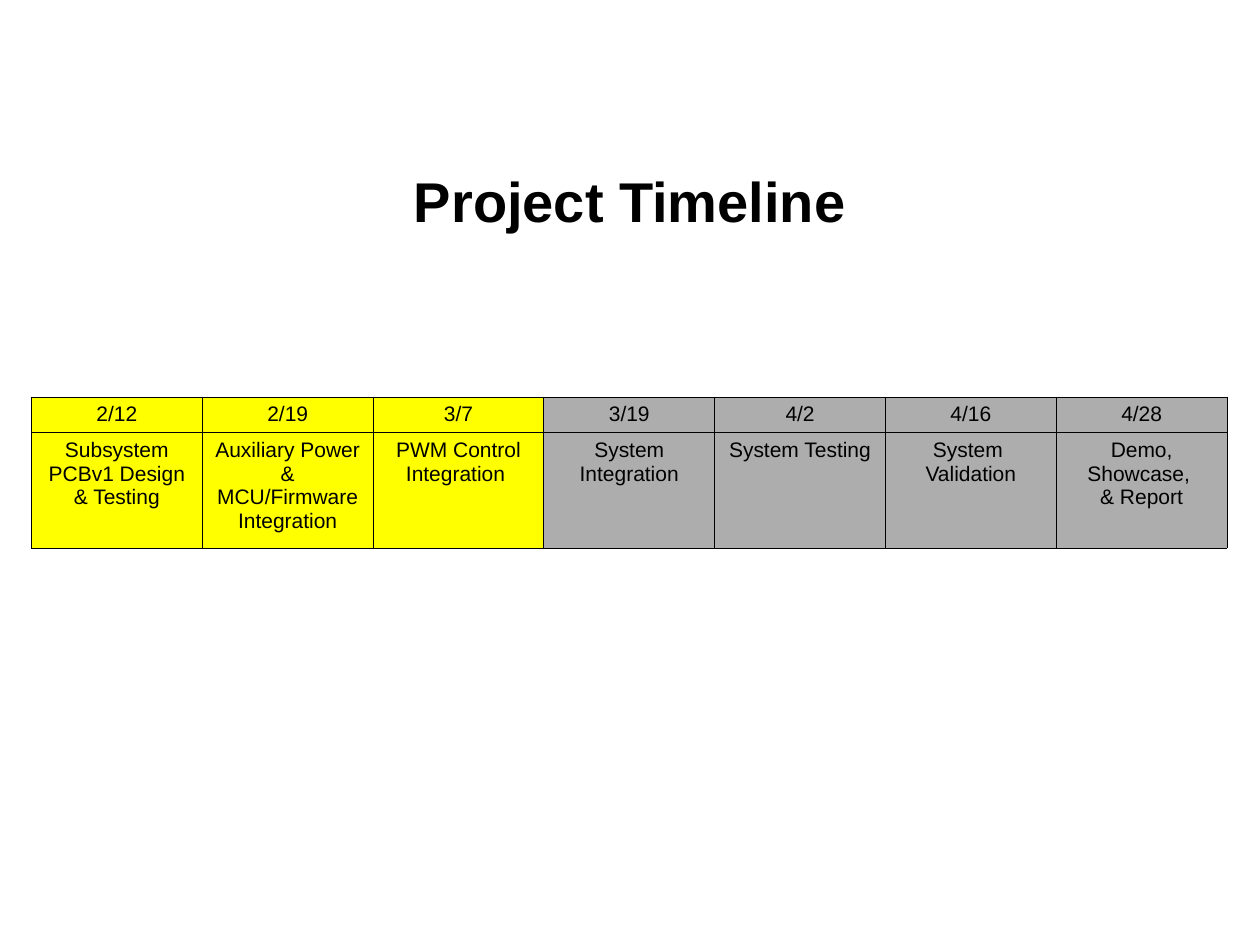
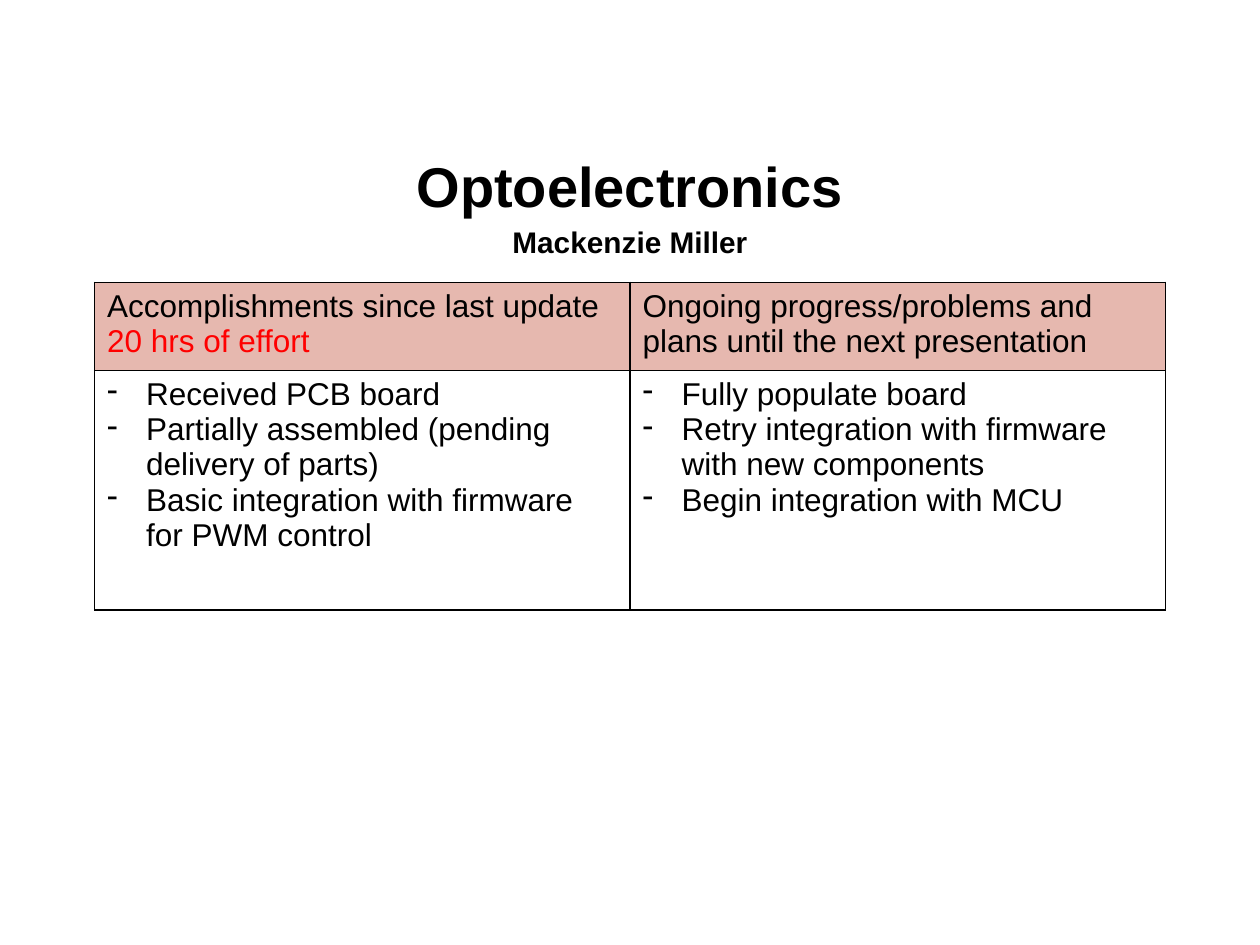
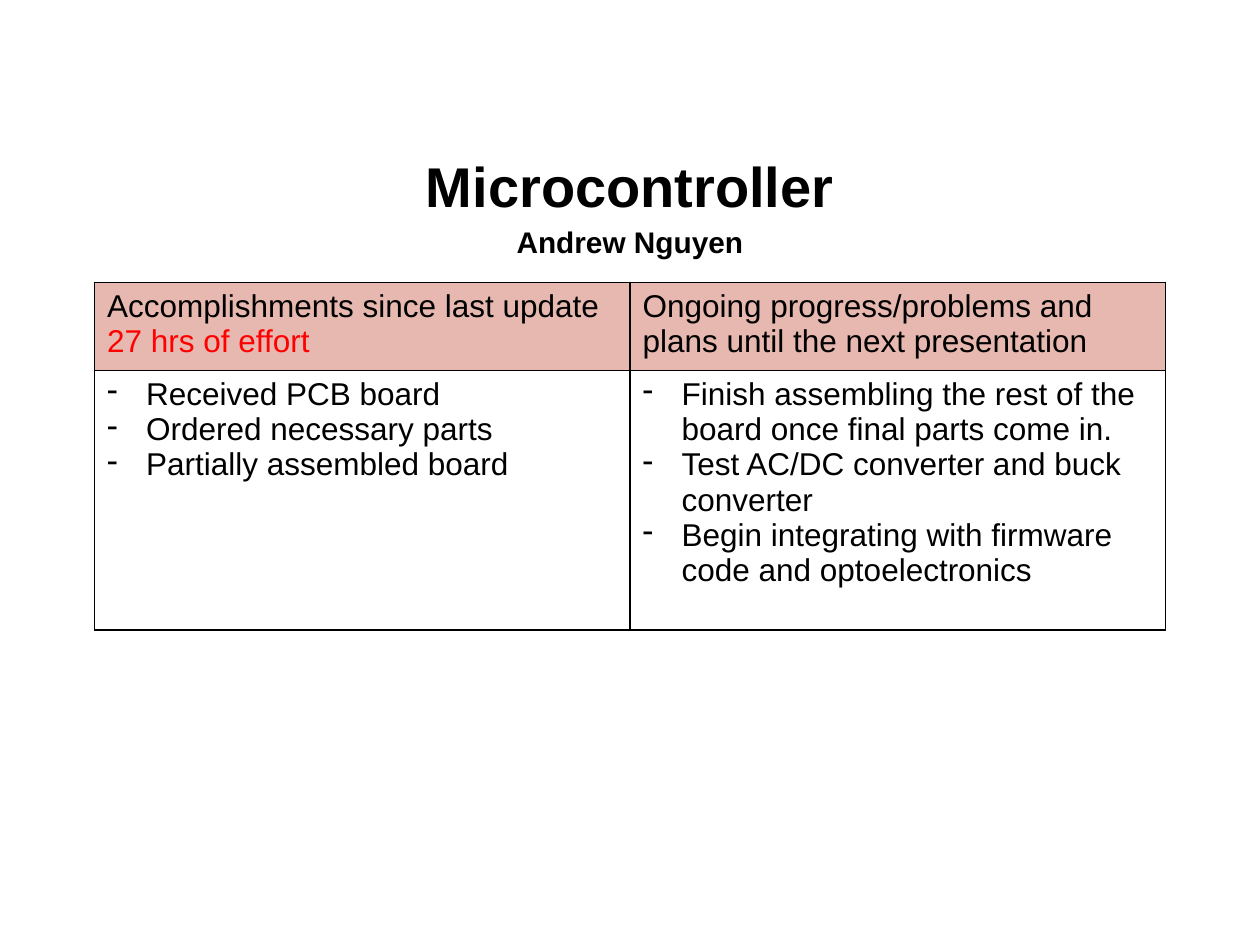
from lxml import etree
from pptx import Presentation
from pptx.dml.color import RGBColor
from pptx.enum.text import MSO_ANCHOR, MSO_AUTO_SIZE, PP_ALIGN
from pptx.oxml.ns import qn
from pptx.util import Inches, Pt

CENTER = PP_ALIGN.CENTER
MIDDLE, BOTTOM = MSO_ANCHOR.MIDDLE, MSO_ANCHOR.BOTTOM
FIXED = MSO_AUTO_SIZE.NONE

FONT = "Arial"
COLORS = {
    "text": "000000",
    "done": "FFFF00",
    "open": "ADADAD",
    "head": "E6B8AF",
    "hours": "FF0000",
}

STEPS = [
    ("2/12", "Subsystem PCBv1 Design & Testing", "done"),
    ("2/19", "Auxiliary Power & MCU/Firmware Integration", "done"),
    ("3/7", "PWM Control Integration ", "done"),
    ("3/19", "System Integration", "open"),
    ("4/2", "System Testing", "open"),
    ("4/16", "System \nValidation", "open"),
    ("4/28", "Demo, Showcase, \n& Report", "open"),
]

REPORTS = [
    {
        "title": "Optoelectronics\nMackenzie Miller",
        "hours": "20 hrs of effort",
        "height": 1.9,
        "lists": [
            ["Received PCB board",
             "Partially assembled (pending delivery of parts)",
             "Basic integration with firmware for PWM control"],
            ["Fully populate board",
             "Retry integration with firmware with new components",
             "Begin integration with MCU"],
        ],
    },
    {
        "title": "Microcontroller\nAndrew Nguyen",
        "hours": "27 hrs of effort",
        "height": 2.06,
        "lists": [
            ["Received PCB board",
             "Ordered necessary parts",
             "Partially assembled board"],
            ["Finish assembling the rest of the board once final parts come in.",
             "Test AC/DC converter and buck converter",
             "Begin integrating with firmware code and optoelectronics"],
        ],
    },
]

prs = Presentation()
prs.slide_width, prs.slide_height = Inches(10), Inches(7.5)


def add_page(title, left, top, width, heights, cols):
    """Add a slide with its title and an unstyled table, and return the table."""
    slide = prs.slides.add_slide(prs.slide_layouts[5])
    head = slide.shapes.title
    head.left, head.top = Inches(0.5), Inches(1.15)
    head.width, head.height = Inches(9), Inches(0.88)
    frame = head.text_frame
    frame.text = title
    frame.auto_size = FIXED
    frame.vertical_anchor = MIDDLE
    for para, size in zip(frame.paragraphs, (32, 17)):
        para.alignment = CENTER
        if len(frame.paragraphs) > 1:
            para.line_spacing = 1.15
        font = para.runs[0].font
        font.name, font.size, font.bold = FONT, Pt(size), True
        font.color.rgb = RGBColor.from_string(COLORS["text"])
    table = slide.shapes.add_table(
        len(heights), cols, Inches(left), Inches(top),
        Inches(width), Inches(sum(heights))).table
    table.first_row = table.horz_banding = False
    for row, height in zip(table.rows, heights):
        row.height = Inches(height)
    return table


def style_cell(cell, size, line, fill=None):
    """Set the font, border and fill of a cell that already has its text."""
    for para in cell.text_frame.paragraphs:
        for run in para.runs:
            run.font.name, run.font.size = FONT, Pt(size)
            run.font.color.rgb = RGBColor.from_string(COLORS["text"])
    props = cell._tc.get_or_add_tcPr()
    for side in ("a:lnL", "a:lnR", "a:lnT", "a:lnB"):
        edge = etree.SubElement(props, qn(side), w=str(Pt(line)))
        solid = etree.SubElement(edge, qn("a:solidFill"))
        etree.SubElement(solid, qn("a:srgbClr"), val=COLORS["text"])
    if fill:
        cell.fill.solid()
        cell.fill.fore_color.rgb = RGBColor.from_string(COLORS[fill])
    else:
        cell.fill.background()


# Timeline
table = add_page("Project Timeline", 0.25, 3.15, 9.49, (0.28, 0.92), len(STEPS))
for col, (date, task, state) in enumerate(STEPS):
    for row, text in enumerate((date, task)):
        cell = table.cell(row, col)
        cell.text_frame.text = text
        for para in cell.text_frame.paragraphs:
            para.alignment = CENTER
        style_cell(cell, 12, 0.5, state)
    top = table.cell(0, col)
    top.vertical_anchor = BOTTOM
    top.margin_left = top.margin_right = top.margin_top = Inches(0.01)

# Progress reports
for report in REPORTS:
    table = add_page(report["title"], 0.75, 2.24, 8.5, (0.7, report["height"]), 2)
    done, plans = table.cell(0, 0), table.cell(0, 1)
    done.text_frame.text = "Accomplishments since last update "
    hours = done.text_frame.paragraphs[0].add_run()
    hours.text = report["hours"]
    plans.text_frame.text = "Ongoing progress/problems and plans until the next presentation"
    for cell in (done, plans):
        style_cell(cell, 18, 1, "head")
    hours.font.color.rgb = RGBColor.from_string(COLORS["hours"])

    for col, items in enumerate(report["lists"]):
        cell = table.cell(1, col)
        cell.text_frame.text = "\n".join(items)
        style_cell(cell, 18, 1)
        for para in cell.text_frame.paragraphs:
            props = para._p.get_or_add_pPr()
            props.set("marL", str(Inches(0.31)))
            props.set("indent", str(-Inches(0.31)))
            etree.SubElement(props, qn("a:buChar"), char="-")

prs.save("out.pptx")
